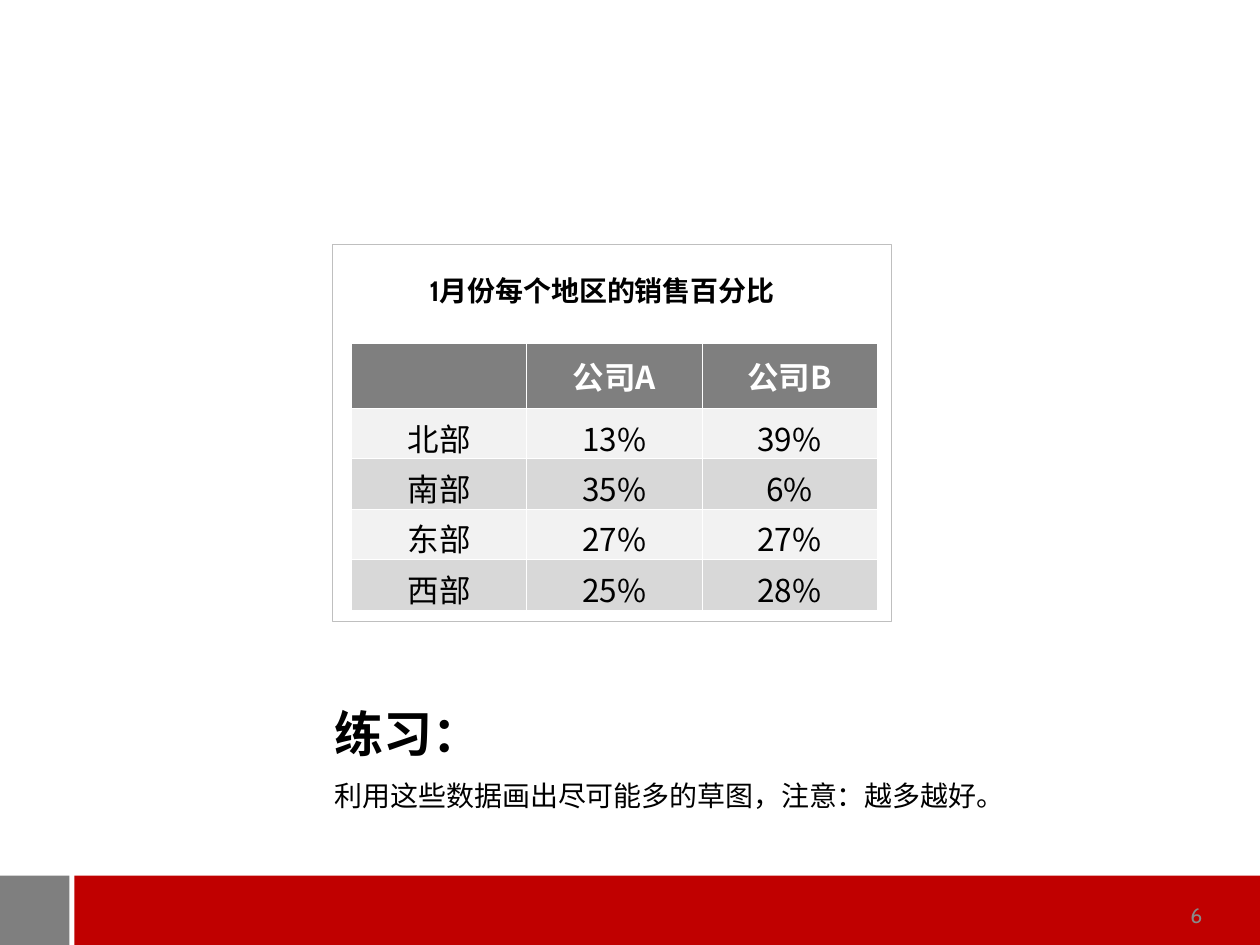
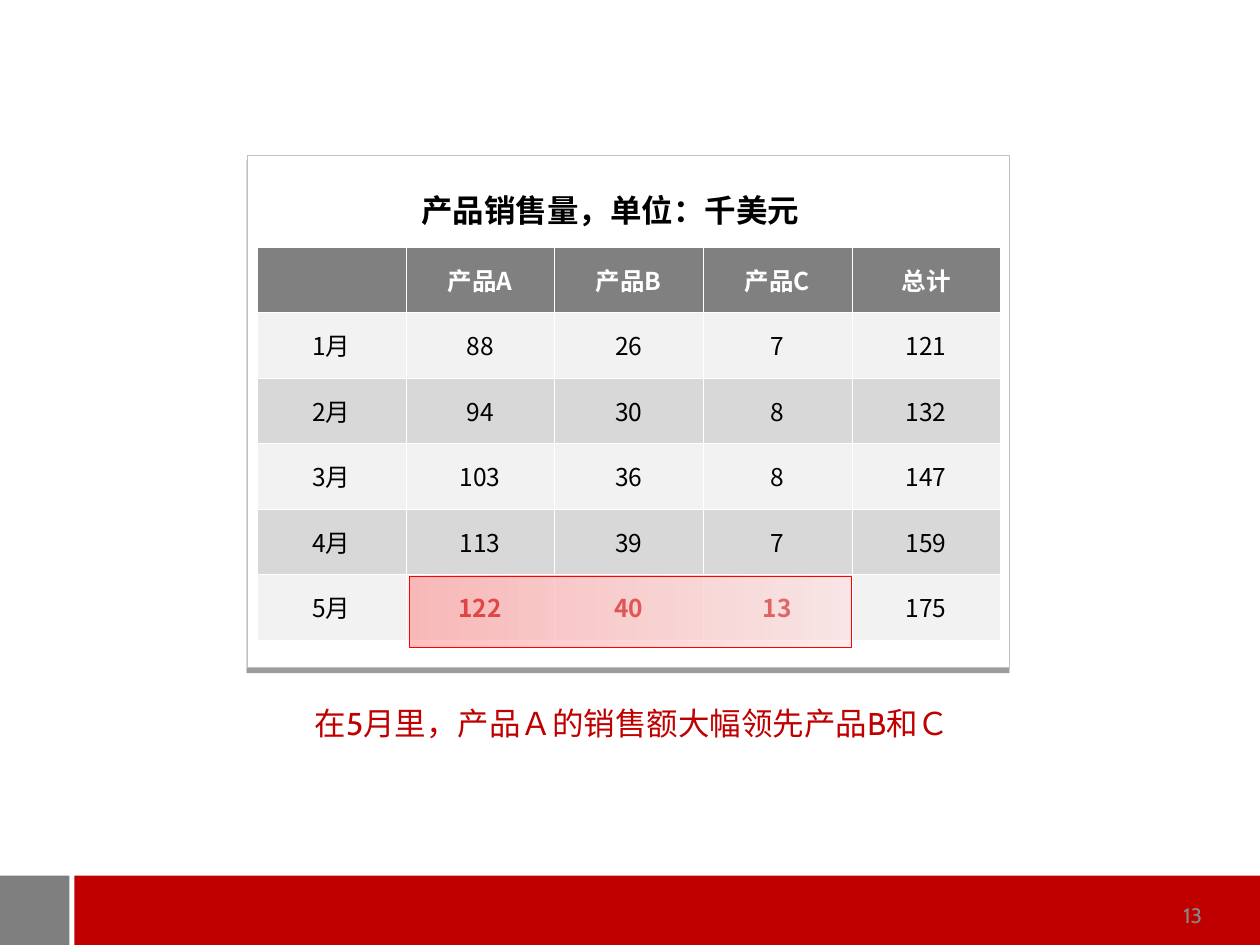
from lxml import etree
from pptx import Presentation
from pptx import util as u
from pptx.dml.color import RGBColor
from pptx.enum import shapes, text
from pptx.oxml import parse_xml
from pptx.oxml.ns import nsdecls, qn

colour = RGBColor.from_string
RED, GREY, BLACK, WHITE = "C00000", "7F7F7F", "000000", "FFFFFF"
CARD_LINE, NUMBER_GREY = "BFBFBF", "898989"
ROW_FILLS = ["F2F2F2", "D8D8D8"]
TEXT_FONT, TABLE_FONT = "Cabin", "Noto Sans CJK SC"
LEFT, CENTER, RIGHT = text.PP_ALIGN.LEFT, text.PP_ALIGN.CENTER, text.PP_ALIGN.RIGHT


def add_rectangle(slide, left, top, width, height, fill, line=None):
    shape = slide.shapes.add_shape(
        shapes.MSO_SHAPE.RECTANGLE,
        u.Inches(left), u.Inches(top), u.Inches(width), u.Inches(height))
    shape.shadow.inherit = False
    shape.fill.solid()
    shape.fill.fore_color.rgb = colour(fill)
    if line:
        shape.line.color.rgb = colour(line)
        shape.line.width = u.Pt(0.25)
    else:
        shape.line.fill.background()
    return shape


def add_text(slide, left, top, width, height, lines, align=LEFT, color=BLACK, spacing=None):
    """Add a text box; each line is (wording, size, bold)."""
    box = slide.shapes.add_textbox(
        u.Inches(left), u.Inches(top), u.Inches(width), u.Inches(height))
    frame = box.text_frame
    frame.word_wrap = True
    for index, (wording, size, bold) in enumerate(lines):
        paragraph = frame.add_paragraph() if index else frame.paragraphs[0]
        paragraph.text = wording
        paragraph.alignment = align
        paragraph.line_spacing = spacing
        paragraph.font.name = TEXT_FONT
        paragraph.font.size = u.Pt(size)
        paragraph.font.bold = bold
        paragraph.font.color.rgb = colour(color)
    return box


presentation = Presentation()
presentation.slide_width = u.Inches(10)
presentation.slide_height = u.Inches(7.5)

regions = {
    "number": "6",
    "card": (2.64, 1.94, 4.43, 2.99),
    "title": (3.31, 2.12, 3.04, 0.37, [("1月份每个地区的销售百分比", 16, True)], LEFT),
    "corner": (2.79, 2.72),
    "column_width": 1.39,
    "row_heights": [0.52] + [0.38] * 4,
    "size": 18,
    "margin": 0.02,
    "header_fill": GREY,
    "rows": [
        ["", "公司A", "公司B"],
        ["北部", "13%", "39%"],
        ["南部", "35%", "6%"],
        ["东部", "27%", "27%"],
        ["西部", "25%", "28%"],
    ],
    "emphasis": [],
}
products = {
    "number": "13",
    "card": (1.96, 1.23, 6.05, 4.07),
    "title": (2.93, 1.47, 3.83, 0.4, [("产品销售量，单位：千美元", 18, True)], CENTER),
    "corner": (2.04, 1.96),
    "column_width": 1.18,
    "row_heights": [0.52] * 6,
    "size": 14,
    "margin": 0.01,
    "header_fill": "808080",
    "rows": [
        ["", "产品A", "产品B", "产品C", "总计"],
        ["1月", "88", "26", "7", "121"],
        ["2月", "94", "30", "8", "132"],
        ["3月", "103", "36", "8", "147"],
        ["4月", "113", "39", "7", "159"],
        ["5月", "122", "40", "13", "175"],
    ],
    "emphasis": [(5, 1), (5, 2), (5, 3)],
}

slides, cards = [], []
for content in (regions, products):
    slide = presentation.slides.add_slide(presentation.slide_layouts[6])
    slides.append(slide)

    # Footer band and slide number
    add_rectangle(slide, 0.59, 6.95, 9.41, 0.55, RED)
    add_rectangle(slide, 0, 6.95, 0.55, 0.55, GREY)
    number = add_text(slide, 7.31, 7.06, 2.33, 0.4,
                      [(content["number"], 12, False)], RIGHT, NUMBER_GREY)
    number.text_frame.vertical_anchor = text.MSO_ANCHOR.MIDDLE

    # Card with its title
    cards.append(add_rectangle(slide, *content["card"], WHITE, CARD_LINE))
    add_text(slide, *content["title"])

    # Table
    rows = content["rows"]
    left, top = content["corner"]
    table = slide.shapes.add_table(
        len(rows), len(rows[0]), u.Inches(left), u.Inches(top),
        u.Inches(content["column_width"] * len(rows[0])),
        u.Inches(sum(content["row_heights"]))).table
    table.horz_banding = False
    for column in table.columns:
        column.width = u.Inches(content["column_width"])
    for row_index, row in enumerate(rows):
        table.rows[row_index].height = u.Inches(content["row_heights"][row_index])
        header = row_index == 0
        for column_index, wording in enumerate(row):
            emphasised = (row_index, column_index) in content["emphasis"]
            cell = table.cell(row_index, column_index)
            cell.margin_left = cell.margin_right = u.Inches(content["margin"])
            cell.vertical_anchor = text.MSO_ANCHOR.MIDDLE
            properties = cell._tc.get_or_add_tcPr()
            for side in ("lnL", "lnR", "lnT", "lnB"):
                border = etree.SubElement(properties, qn(f"a:{side}"), w=str(u.Pt(0.23)))
                solid = etree.SubElement(border, qn("a:solidFill"))
                etree.SubElement(solid, qn("a:srgbClr"), val=WHITE)
            cell.fill.solid()
            cell.fill.fore_color.rgb = colour(
                content["header_fill"] if header else ROW_FILLS[(row_index - 1) % 2])
            paragraph = cell.text_frame.paragraphs[0]
            paragraph.text = wording
            paragraph.alignment = CENTER
            paragraph.font.name = TABLE_FONT
            paragraph.font.size = u.Pt(content["size"])
            paragraph.font.bold = header or emphasised
            paragraph.font.color.rgb = colour(
                WHITE if header else RED if emphasised else BLACK)

region_slide, product_slide = slides

# Exercise under the regions table
add_text(region_slide, 2.56, 5.3, 7.24, 1.2,
         [("练习：", 28, True),
          ("利用这些数据画出尽可能多的草图，注意：越多越好。", 16, False)], spacing=1.5)

# Hard shadow below the products card
effects = cards[1]._element.spPr.find(qn("a:effectLst"))
effects.append(parse_xml(
    f'<a:outerShdw {nsdecls("a")} blurRad="0" dist="{u.Pt(3)}" dir="5400000" rotWithShape="0">'
    f'<a:srgbClr val="{BLACK}"><a:alpha val="39000"/></a:srgbClr></a:outerShdw>'))

# Translucent highlight over the May figures
highlight = add_rectangle(product_slide, 3.25, 4.57, 3.51, 0.57, WHITE, "FF0000")
highlight.fill.gradient()
highlight.fill.gradient_angle = 0
for stop, position, shade in zip(highlight.fill.gradient_stops, (0, 1), ("FF8080", "FFDADA")):
    stop.position = position
    stop.color.rgb = colour(shade)
for shade in highlight._element.spPr.find(qn("a:gradFill")).iter(qn("a:srgbClr")):
    etree.SubElement(shade, qn("a:alpha"), val="50000")

add_text(product_slide, 1.96, 5.54, 6.11, 0.4,
         [("在5月里，产品Ａ的销售额大幅领先产品B和Ｃ", 18, False)], CENTER, RED)

presentation.save("out.pptx")
